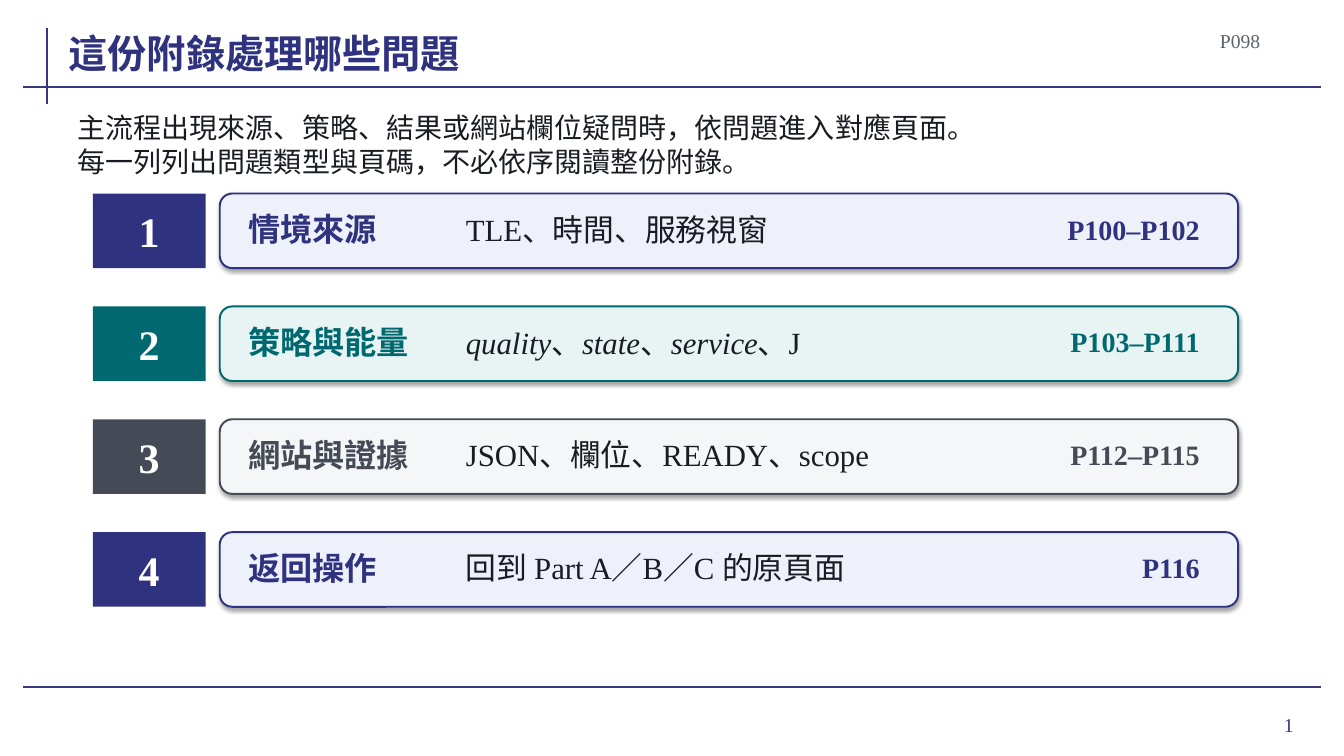
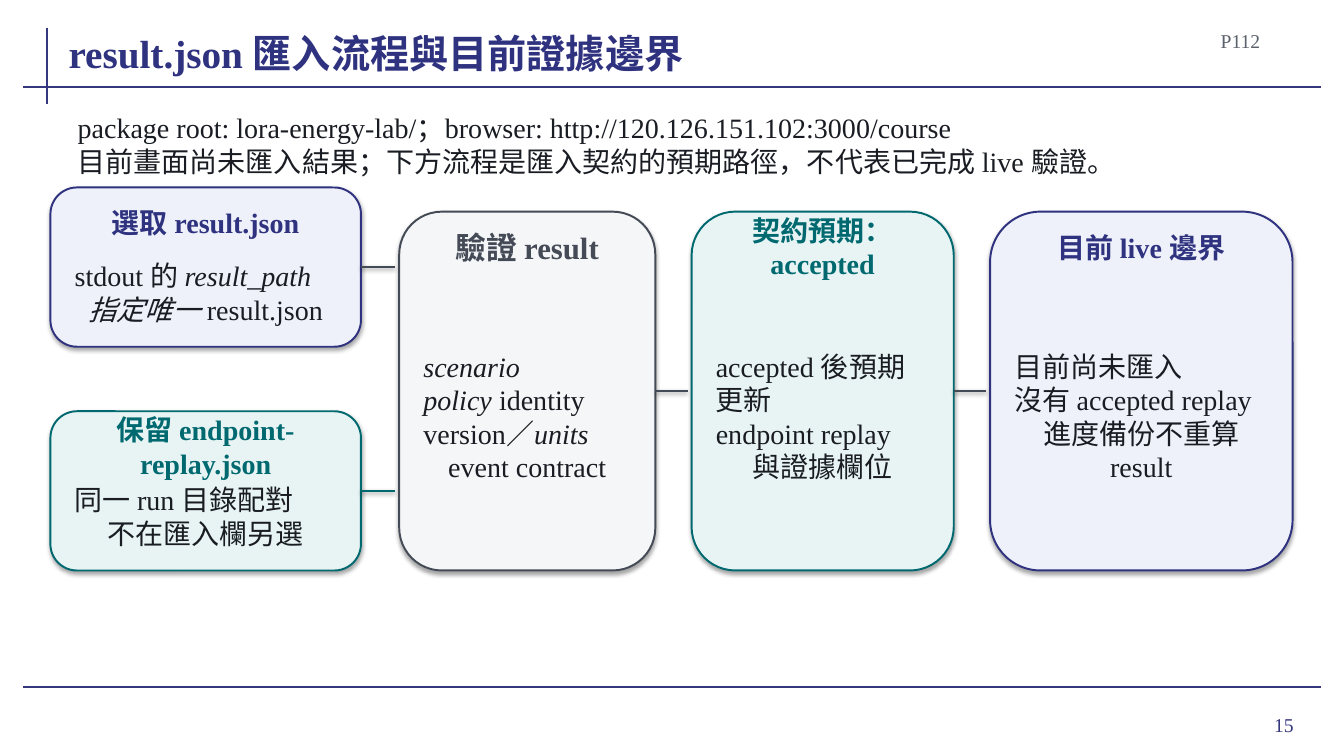
from lxml import etree
from pptx import Presentation
from pptx.dml.color import RGBColor
from pptx.enum.shapes import MSO_CONNECTOR as CONN, MSO_SHAPE as SHAPE
from pptx.enum.text import MSO_ANCHOR as ANCHOR, MSO_AUTO_SIZE as FIT, PP_ALIGN as AL
from pptx.oxml.ns import qn
from pptx.util import Inches, Pt

rgb = RGBColor.from_string
FONT = "Times New Roman"
INK, GREY, RULE = "191C22", "5C626C", "35377F"
NAVY, TEAL, SLATE = "2F327F", "006970", "444B56"
TINT = {NAVY: "EEF1F9", TEAL: "E8F4F4", SLATE: "F5F6F8"}


def write(sp, text, size, color, bold=False, align=AL.LEFT, inset=0.04):
    """Fill a shape with text: *...* is italic, and align applies to the last paragraph."""
    tf = sp.text_frame
    tf.word_wrap = True
    tf.auto_size = FIT.SHAPE_TO_FIT_TEXT
    tf.vertical_anchor = ANCHOR.MIDDLE
    tf.margin_left = tf.margin_right = tf.margin_top = tf.margin_bottom = Inches(inset)
    lines = text.split("\n")
    for i, line in enumerate(lines):
        p = tf.paragraphs[0] if i == 0 else tf.add_paragraph()
        p.alignment = align if i == len(lines) - 1 else AL.LEFT
        p.font.name, p.font.size, p.font.bold = FONT, Pt(size), bold
        p.font.color.rgb = rgb(color)
        for j, part in enumerate(line.split("*")):
            if part:
                r = p.add_run()
                r.text = part
                if j % 2:
                    r.font.italic = True


def outline(sp, color, width, alpha=0, dist=0.0):
    """Set the line of a shape or connector, and a shadow when alpha (percent) is given."""
    sp.line.color.rgb = rgb(color)
    sp.line.width = Pt(width)
    effects = etree.SubElement(sp.element.spPr, qn("a:effectLst"))
    if alpha:
        shadow = etree.SubElement(effects, qn("a:outerShdw"), blurRad=str(Pt(3.1)),
                                  dist=str(Pt(dist)), dir="5400000", rotWithShape="0")
        black = etree.SubElement(shadow, qn("a:srgbClr"), val="000000")
        etree.SubElement(black, qn("a:alpha"), val=str(alpha * 1000))


prs = Presentation()
prs.slide_width, prs.slide_height = Inches(13.33), Inches(7.5)
layout = prs.slide_layouts[5]
title = layout.placeholders[0]
title.left, title.top, title.width, title.height = map(Inches, (0.68, 0.18, 10.9, 0.58))

# Title, page code, introduction and slide number
pages = [
    ("這份附錄處理哪些問題", "P098", "1",
     "主流程出現來源、策略、結果或網站欄位疑問時，依問題進入對應頁面。\n"
     "每一列列出問題類型與頁碼，不必依序閱讀整份附錄。"),
    ("result.json 匯入流程與目前證據邊界", "P112", "15",
     "package root: lora-energy-lab/；browser: http://120.126.151.102:3000/course\n"
     "目前畫面尚未匯入結果；下方流程是匯入契約的預期路徑，不代表已完成 live 驗證。"),
]
for heading, code, number, intro in pages:
    s = prs.slides.add_slide(layout)
    write(s.shapes.title, heading, 28, NAVY, bold=True, inset=0)
    tf = s.shapes.title.text_frame
    tf.word_wrap, tf.auto_size, tf.vertical_anchor = False, FIT.NONE, ANCHOR.BOTTOM
    for box, text, size, color, align, inset in [
        ((11.72, 0.27, 0.82, 0.26), code, 14, GREY, AL.RIGHT, 0.04),
        ((0.76, 1.12, 11.78, 0.62), intro, 20, INK, AL.LEFT, 0.01),
        ((11.96, 6.93, 0.97, 0.52), number, 14, RULE, AL.RIGHT, 0.1),
    ]:
        write(s.shapes.add_textbox(*map(Inches, box)), text, size, color,
              align=align, inset=inset)
index_slide, flow_slide = prs.slides

# Rules are moved to the layout, so both slides share them
for ends in [(0.47, 0.28, 0.47, 1.03), (0.23, 0.86, 13.1, 0.86), (0.23, 6.82, 13.1, 6.82)]:
    rule = index_slide.shapes.add_connector(CONN.STRAIGHT, *map(Inches, ends))
    outline(rule, RULE, 1.5)
    layout.shapes.element.append(rule.element)

# Slide 1: index rows
rows = [
    (NAVY, "情境來源", "TLE、時間、服務視窗", "P100–P102"),
    (TEAL, "策略與能量", "*quality*、*state*、*service*、J", "P103–P111"),
    (SLATE, "網站與證據", "JSON、欄位、READY、scope", "P112–P115"),
    (NAVY, "返回操作", "回到 Part A／B／C 的原頁面", "P116"),
]
shapes = index_slide.shapes
for i, (color, topic, content, codes) in enumerate(rows):
    top = 1.92 + 1.12 * i
    badge = shapes.add_shape(SHAPE.RECTANGLE, *map(Inches, (0.92, top, 1.12, 0.74)))
    badge.fill.solid()
    badge.fill.fore_color.rgb = rgb(color)
    badge.line.fill.background()
    badge.shadow.inherit = False
    write(badge, str(i + 1), 30, "FFFFFF", bold=True, align=AL.CENTER)

    card = shapes.add_shape(SHAPE.ROUNDED_RECTANGLE, *map(Inches, (2.18, top, 10.1, 0.74)))
    card.fill.solid()
    card.fill.fore_color.rgb = rgb(TINT[color])
    outline(card, color, 1.4, alpha=35, dist=1.8)

    for left, width, text, size, ink, bold, align in [
        (2.42, 2.15, topic, 23, color, True, AL.LEFT),
        (4.58, 5.55, content, 22, INK, False, AL.LEFT),
        (10.28, 1.66, codes, 20, color, True, AL.RIGHT),
    ]:
        box = shapes.add_textbox(*map(Inches, (left, top + 0.08, width, 0.54)))
        write(box, text, size, ink, bold, align)

# Slide 2: left, top, width, height, colour, heading, heading size, body,
# then left edge of the next card and colour of the line to it
steps = [
    (0.5, 1.86, 3.08, 1.58, NAVY, "選取 result.json", 20,
     "stdout 的 *result_path*\n*指定唯一 *result.json", 3.96, SLATE),
    (0.5, 4.08, 3.08, 1.58, TEAL, "保留 endpoint-replay.json", 20,
     "同一 run 目錄配對\n不在匯入欄另選", 3.96, TEAL),
    (3.96, 2.1, 2.54, 3.56, SLATE, "驗證 result", 22,
     "*scenario*\n*policy *identity\nversion／*units*\nevent contract", 6.86, SLATE),
    (6.86, 2.1, 2.6, 3.56, TEAL, "契約預期：accepted", 20,
     "accepted 後預期更新\nendpoint replay\n與證據欄位", 9.82, SLATE),
    (9.82, 2.1, 3, 3.56, NAVY, "目前 live 邊界", 20,
     "目前尚未匯入\n沒有 accepted replay\n進度備份不重算 result", None, None),
]
shapes = flow_slide.shapes
for left, top, width, height, color, heading, size, body, next_left, link_color in steps:
    card = shapes.add_shape(SHAPE.ROUNDED_RECTANGLE, *map(Inches, (left, top, width, height)))
    card.fill.solid()
    card.fill.fore_color.rgb = rgb(TINT[color])
    outline(card, color, 1.4, alpha=35, dist=1.8)

    head = shapes.add_textbox(*map(Inches, (left + 0.2, top + 0.16, width - 0.4, 0.38)))
    write(head, heading, size, color, bold=True, align=AL.CENTER)
    details = shapes.add_textbox(
        *map(Inches, (left + 0.2, top + 0.64, width - 0.4, height - 0.78)))
    write(details, body, 20, INK, align=AL.CENTER)

    if next_left:
        middle = top + height / 2
        link = shapes.add_connector(
            CONN.STRAIGHT, *map(Inches, (left + width, middle, next_left - 0.04, middle)))
        outline(link, link_color, 1.5, alpha=38, dist=1.6)

prs.save("out.pptx")
